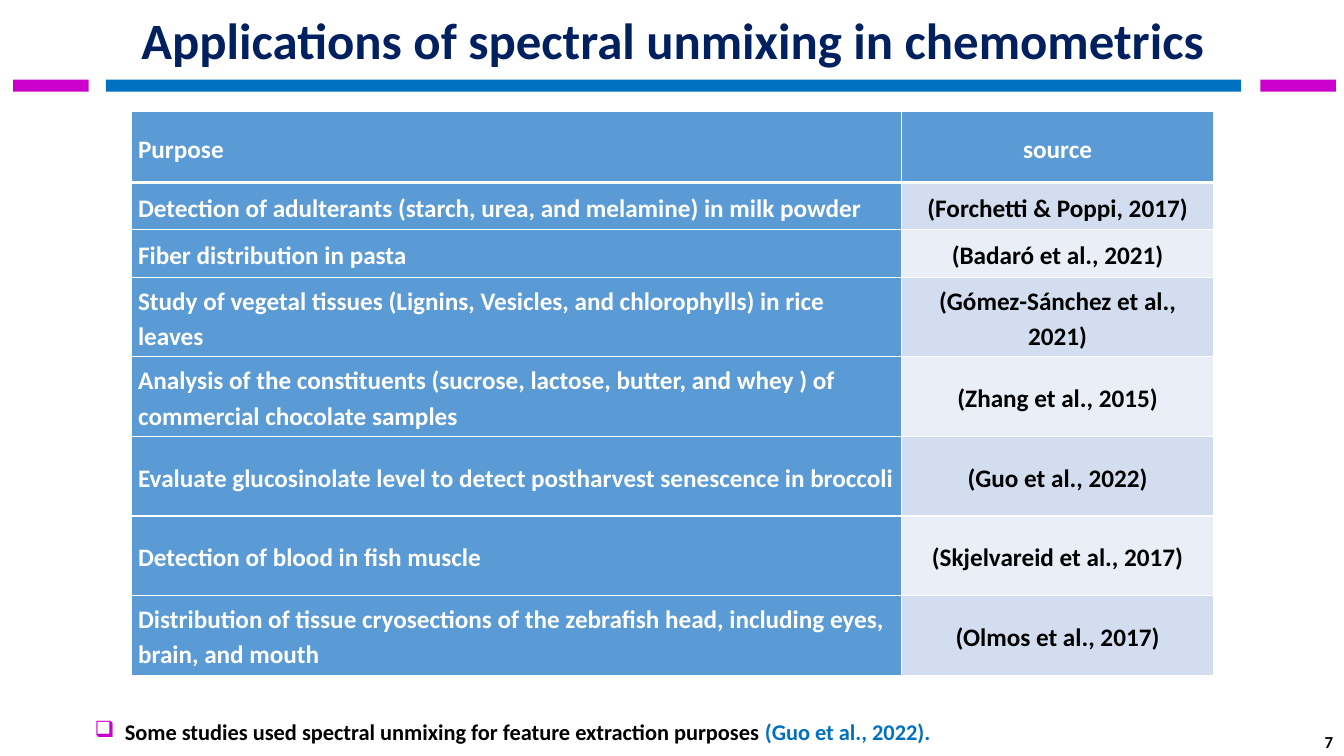
from lxml import etree
from pptx import Presentation
from pptx import util as u
from pptx.dml import color
from pptx.enum import shapes, text
from pptx.oxml import ns

COLORS = {
    "blue": "0070C0", "magenta": "CC00CC", "navy": "002060",
    "black": "000000", "white": "FFFFFF", "header": "5B9BD5",
    "band_dark": "D2DEEF", "band_light": "EAEFF7",
}
ROWS = [
    ("Purpose", "source", 0.7),
    ("Detection of adulterants (starch, urea, and melamine) in milk powder", "(Forchetti & Poppi, 2017)", 0.47),
    ("Fiber distribution in pasta", "(Badaró et al., 2021)", 0.47),
    ("Study of vegetal tissues (Lignins, Vesicles, and chlorophylls) in rice leaves", "(Gómez-Sánchez et al., 2021)", 0.79),
    ("Analysis of the constituents (sucrose, lactose, butter, and whey ) of commercial chocolate samples",
     "(Zhang et al., 2015)", 0.79),
    ("Evaluate glucosinolate level to detect postharvest senescence in broccoli", "(Guo et al., 2022)", 0.79),
    ("Detection of blood in fish muscle", "(Skjelvareid et al., 2017)", 0.79),
    ("Distribution of tissue cryosections of the zebrafish head, including eyes, brain, and mouth",
     "(Olmos et al., 2017)", 0.79),
]
COLUMN_WIDTHS = [7.64, 3.1]
ALIGN = text.PP_ALIGN
MIDDLE = text.MSO_ANCHOR.MIDDLE


def rgb(name):
    return color.RGBColor.from_string(COLORS[name])


def apply_format(target, values):
    for name, value in values.items():
        setattr(target, name, value)


def add_run(paragraph, wording, size, color_name):
    run = paragraph.add_run()
    run.text = wording
    apply_format(run.font, {"name": "Calibri", "size": u.Pt(size), "bold": True})
    run.font.color.rgb = rgb(color_name)


def add_text(slide, box, runs, size, frame_format, paragraph_format):
    shape = slide.shapes.add_textbox(*map(u.Inches, box))
    apply_format(shape.text_frame, {"word_wrap": True, **frame_format})
    paragraph = shape.text_frame.paragraphs[0]
    apply_format(paragraph, paragraph_format)
    for wording, color_name in runs:
        add_run(paragraph, wording, size, color_name)
    return paragraph


def add_bars(slide, box):
    left, top, width, height = box
    side, inset = 0.75, 0.92
    bars = [
        (left + inset, width - 2 * inset - 0.02, "blue"),
        (left, side, "magenta"),
        (left + width - side, side, "magenta"),
    ]
    for bar_left, bar_width, color_name in bars:
        shape = slide.shapes.add_shape(
            shapes.MSO_SHAPE.RECTANGLE, *map(u.Inches, (bar_left, top, bar_width, height)))
        shape.shadow.inherit = False
        shape.fill.solid()
        shape.fill.fore_color.rgb = rgb(color_name)
        shape.line.fill.background()


def add_borders(cell, bottom_width):
    properties = cell._tc.get_or_add_tcPr()
    widths = {"a:lnL": 1, "a:lnR": 1, "a:lnT": 1, "a:lnB": bottom_width}
    for index, (tag, width) in enumerate(widths.items()):
        line = etree.Element(ns.qn(tag), w=str(u.Pt(width)))
        fill = etree.SubElement(line, ns.qn("a:solidFill"))
        etree.SubElement(fill, ns.qn("a:srgbClr"), val=COLORS["white"])
        properties.insert(index, line)


def fill_cell(cell, wording, fill, font_color, alignment, bottom_width):
    apply_format(cell, {
        "vertical_anchor": MIDDLE,
        "margin_left": u.Inches(0.07), "margin_right": u.Inches(0.07),
        "margin_top": 0, "margin_bottom": 0,
    })
    cell.fill.solid()
    cell.fill.fore_color.rgb = rgb(fill)
    add_borders(cell, bottom_width)
    paragraph = cell.text_frame.paragraphs[0]
    apply_format(paragraph, {"alignment": alignment, "line_spacing": 1.15})
    add_run(paragraph, wording, 18, font_color)


def add_sources_table(slide, box):
    table = slide.shapes.add_table(len(ROWS), len(COLUMN_WIDTHS), *map(u.Inches, box)).table
    for column, width in zip(table.columns, COLUMN_WIDTHS):
        column.width = u.Inches(width)
    for index, (purpose, source, height) in enumerate(ROWS):
        table.rows[index].height = u.Inches(height)
        is_header = index == 0
        band = "band_dark" if index % 2 else "band_light"
        bottom_width = 3 if is_header else 1
        fill_cell(table.cell(index, 0), purpose, "header", "white", ALIGN.LEFT, bottom_width)
        fill_cell(table.cell(index, 1), source, "header" if is_header else band,
                  "white" if is_header else "black", ALIGN.CENTER, bottom_width)


def add_footnote(slide, box):
    runs = [("Some studies used spectral unmixing for feature extraction purposes ", "black"),
            ("(Guo et al., 2022).", "blue")]
    paragraph = add_text(slide, box, runs, 16, {}, {
        "alignment": ALIGN.JUSTIFY, "line_spacing": 1.6, "space_before": u.Pt(10)})
    properties = paragraph._p.get_or_add_pPr()
    indent = u.Inches(0.3)
    properties.set("marL", str(indent))
    properties.set("indent", str(-indent))
    bullet_color = etree.SubElement(properties, ns.qn("a:buClr"))
    etree.SubElement(bullet_color, ns.qn("a:srgbClr"), val=COLORS["magenta"])
    etree.SubElement(properties, ns.qn("a:buChar"), char="❑")


def build_slide(presentation):
    slide = presentation.slides.add_slide(presentation.slide_layouts[6])
    add_bars(slide, (0.13, 0.79, 13.12, 0.12))
    add_text(slide, (0.84, 0, 11.68, 0.88),
             [("Applications of spectral unmixing in chemometrics", "navy")], 36.3,
             {"vertical_anchor": MIDDLE}, {"alignment": ALIGN.CENTER, "line_spacing": 0.8})
    add_text(slide, (12.91, 7.22, 0.41, 0.28), [("7", "black")], 12,
             {"vertical_anchor": MIDDLE}, {"alignment": ALIGN.RIGHT})
    add_sources_table(slide, (1.3, 1.11, 10.74, 5.59))
    add_footnote(slide, (0.84, 6.92, 9.18, 0.51))


def main():
    presentation = Presentation()
    apply_format(presentation, {"slide_width": u.Inches(13.33), "slide_height": u.Inches(7.5)})
    build_slide(presentation)
    presentation.save("out.pptx")


if __name__ == "__main__":
    main()
